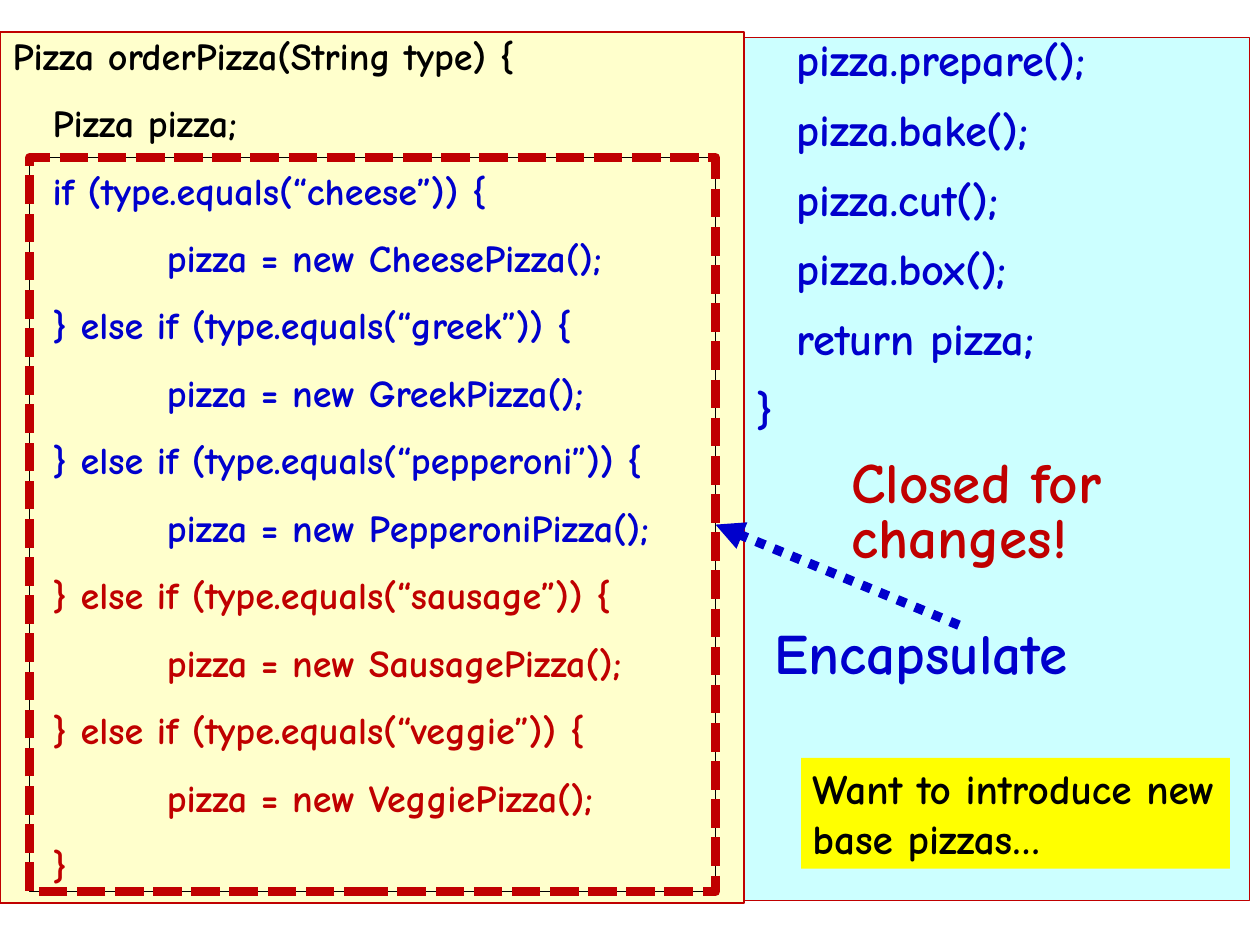
from pptx import Presentation
from pptx.dml.color import RGBColor
from pptx.enum.dml import MSO_LINE
from pptx.enum.shapes import MSO_CONNECTOR, MSO_SHAPE
from pptx.enum.text import MSO_ANCHOR, PP_ALIGN
from pptx.oxml.ns import qn
from pptx.util import Inches, Pt
from lxml.etree import SubElement

BLACK, BLUE, RED = "000000", "0000CC", "C00000"
STEPS = [0.11, 0.46, 1.46]


def add_box(left, top, width, height, fill=None, line=None, weight=0.75):
    box = slide.shapes.add_shape(MSO_SHAPE.RECTANGLE, Inches(left), Inches(top),
                                 Inches(width), Inches(height))
    box.shadow.inherit = False
    if fill:
        box.fill.solid()
        box.fill.fore_color.rgb = RGBColor.from_string(fill)
    else:
        box.fill.background()
    if line:
        box.line.color.rgb = RGBColor.from_string(line)
        box.line.width = Pt(weight)
    else:
        box.line.fill.background()
    return box


def write(box, lines, size, spacing=1.0, after=0, inset=(0.1, 0.05)):
    frame = box.text_frame
    frame.word_wrap = True
    frame.vertical_anchor = MSO_ANCHOR.TOP
    frame.margin_left = frame.margin_right = Inches(inset[0])
    frame.margin_top = frame.margin_bottom = Inches(inset[1])
    for number, (text, color, indent) in enumerate(lines):
        paragraph = frame.add_paragraph() if number else frame.paragraphs[0]
        paragraph.alignment = PP_ALIGN.LEFT
        paragraph.line_spacing = spacing
        paragraph.space_after = Pt(after)
        if indent:
            properties = paragraph._p.get_or_add_pPr()
            properties.set("marL", str(Inches(indent)))
            properties.set("indent", "0")
        run = paragraph.add_run()
        run.text = text
        run.font.name = "Comic Neue"
        run.font.size = Pt(size)
        run.font.bold = True
        run.font.color.rgb = RGBColor.from_string(color)


deck = Presentation()
deck.slide_width, deck.slide_height = Inches(28 / 2.54), Inches(21 / 2.54)
slide = deck.slides.add_slide(deck.slide_layouts[6])

order_code = [("Pizza orderPizza(String type) {", BLACK, STEPS[0]),
              ("Pizza pizza;", BLACK, STEPS[1])]
kinds = [("cheese", BLUE), ("greek", BLUE), ("pepperoni", BLUE),
         ("sausage", RED), ("veggie", RED)]
for number, (kind, color) in enumerate(kinds):
    opening = "} else if" if number else "if"
    order_code += [
        (f"{opening} (type.equals(“{kind}”)) {{", color, STEPS[1]),
        (f"pizza = new {kind.capitalize()}Pizza();", color, STEPS[2])]
order_code.append(("}", RED, STEPS[1]))
order_panel = add_box(0, 0.28, 6.51, 7.62, "FFFFCC", RED)
write(order_panel, order_code, 24, after=13.7, inset=(0, 0))

calls = ["pizza.prepare();", "pizza.bake();", "pizza.cut();", "pizza.box();", "return pizza;"]
finish_code = [(call, BLUE, STEPS[1]) for call in calls] + [("}", BLUE, STEPS[0])]
finish_panel = add_box(6.51, 0.33, 4.42, 7.55, "CCFFFF", RED)
write(finish_panel, finish_code, 28, spacing=0.9, after=13.8, inset=(0, 0))

add_box(0.26, 1.38, 6, 6.42, line=BLACK)
varying_part = add_box(0.26, 1.38, 6, 6.42, line=RED, weight=6)
varying_part.line.dash_style = MSO_LINE.SQUARE_DOT

encapsulate = slide.shapes.add_textbox(Inches(6.68), Inches(5.47), Inches(3.42), Inches(0.58))
write(encapsulate, [("Encapsulate", BLUE, 0)], 36, spacing=0.8)

arrow = slide.shapes.add_connector(MSO_CONNECTOR.STRAIGHT, Inches(8.39), Inches(5.47),
                                   Inches(6.26), Inches(4.59))
arrow.begin_connect(encapsulate, 0)
arrow.end_connect(varying_part, 3)
arrow.line.color.rgb = RGBColor.from_string(BLUE)
arrow.line.width = Pt(6)
arrow.line.dash_style = MSO_LINE.ROUND_DOT
SubElement(arrow.line._get_or_add_ln(), qn("a:tailEnd"), type="triangle")
SubElement(arrow._element.spPr, qn("a:effectLst"))

closed = slide.shapes.add_textbox(Inches(7.35), Inches(3.97), Inches(3.42), Inches(1.06))
write(closed, [("Closed for changes!", RED, 0)], 36, spacing=0.8)

wish = add_box(7.01, 6.63, 3.75, 0.97, "FFFF00")
write(wish, [("Want to introduce new base pizzas…", BLACK, 0)], 26)

deck.save("out.pptx")
